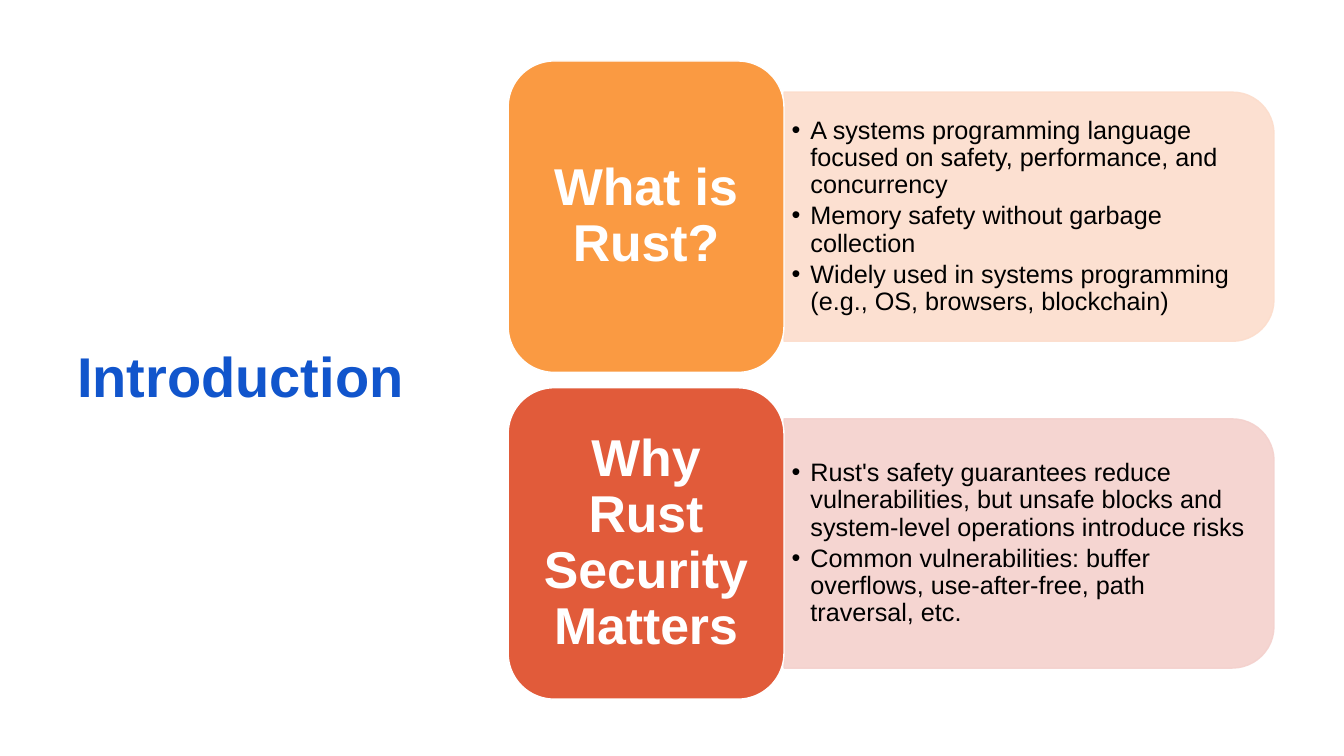
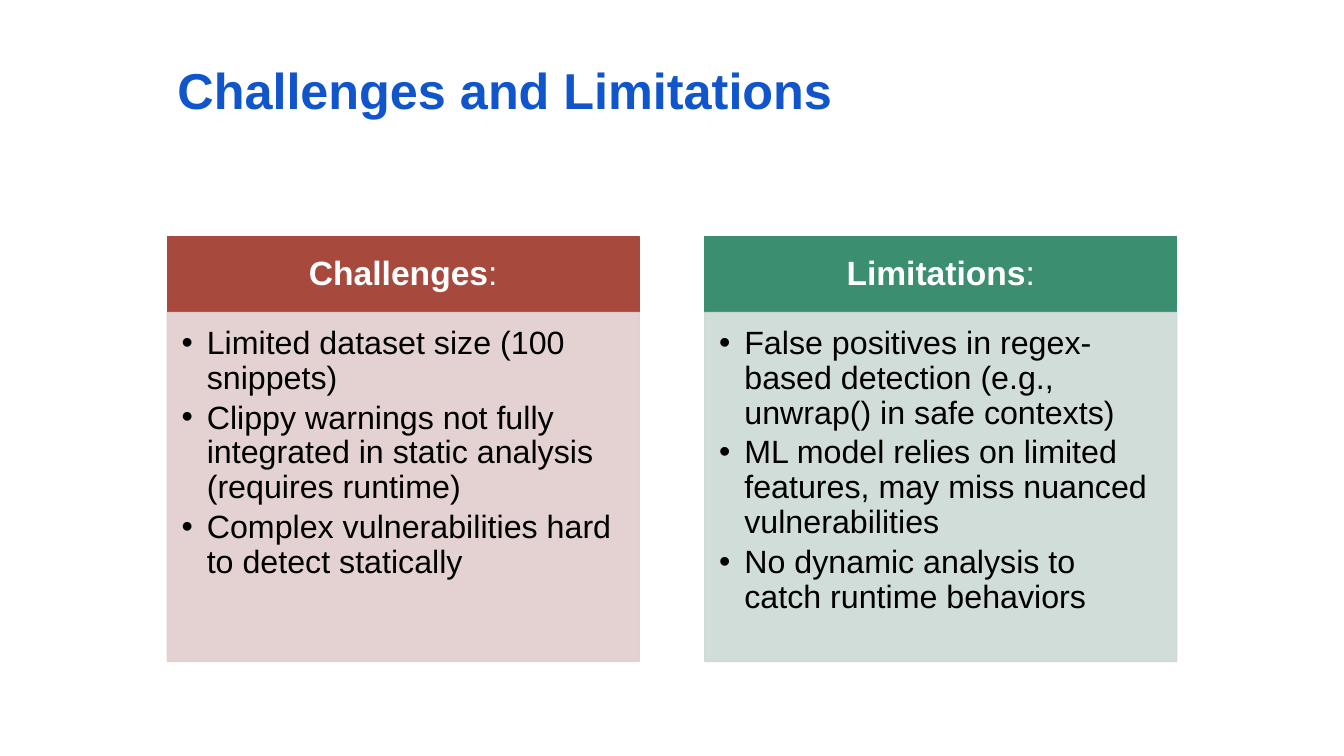
from lxml import etree
from pptx import Presentation
from pptx import util as u
from pptx.dml import color as c
from pptx.enum import shapes, text
from pptx.oxml import ns

Pt = u.Pt
FONT, BLUE, WHITE, BLACK = "Arial", "1155CC", "FFFFFF", "000000"
LEFT, CENTER = text.PP_ALIGN.LEFT, text.PP_ALIGN.CENTER
TOP, MIDDLE = text.MSO_ANCHOR.TOP, text.MSO_ANCHOR.MIDDLE


def paint(shape, fill, line, opacity=100):
    """Give a shape a flat fill and a 1 pt line, without shadow."""
    shape.shadow.inherit = False
    shape.fill.solid()
    shape.line.width = Pt(1)
    for target, value in ((shape.fill.fore_color, fill), (shape.line.color, line)):
        target.rgb = c.RGBColor.from_string(value)
    if opacity < 100:
        for node in shape._element.spPr.iter(ns.qn("a:srgbClr")):
            etree.SubElement(node, ns.qn("a:alpha")).set("val", str(opacity * 1000))


def write(shape, lines, size, color, bold=False, align=LEFT, anchor=MIDDLE,
          insets=(7.2, 3.6, 7.2, 3.6), bullet_indent=0, gap=0):
    """Fill a shape with paragraphs, bulleted when bullet_indent is set."""
    frame = shape.text_frame
    frame.text = "\n".join(lines)
    frame.word_wrap, frame.auto_size = True, text.MSO_AUTO_SIZE.NONE
    frame.vertical_anchor = anchor
    frame.margin_left, frame.margin_top, frame.margin_right, frame.margin_bottom = map(Pt, insets)
    for index, paragraph in enumerate(frame.paragraphs):
        if bullet_indent:
            properties = paragraph._p.get_or_add_pPr()
            properties.set("marL", str(Pt(bullet_indent)))
            properties.set("indent", str(-Pt(bullet_indent)))
            bullet_color = etree.SubElement(properties, ns.qn("a:buClr"))
            etree.SubElement(bullet_color, ns.qn("a:srgbClr")).set("val", color)
            etree.SubElement(properties, ns.qn("a:buFont")).set("typeface", FONT)
            etree.SubElement(properties, ns.qn("a:buChar")).set("char", "•")
        paragraph.alignment = align
        paragraph.line_spacing = 0.9
        paragraph.space_before = Pt(gap if index else 0)
        for run in paragraph.runs:
            run.font.name, run.font.size, run.font.bold = FONT, Pt(size), bold
            run.font.color.rgb = c.RGBColor.from_string(color)


presentation = Presentation()
presentation.slide_width, presentation.slide_height = Pt(960), Pt(540)

# Slides with their titles
titles = [
    ("Introduction", 40, MIDDLE, (48, 43.2, 275, 455.8)),
    ("Challenges and Limitations", 36, TOP, (119.5, 43.2, 721.4, 89.3)),
]
slides = []
for title_text, size, anchor, box in titles:
    slide = presentation.slides.add_slide(presentation.slide_layouts[5])
    title = slide.shapes.title
    title.left, title.top, title.width, title.height = map(Pt, box)
    write(title, [title_text], size, BLUE, bold=True, anchor=anchor)
    slides.append(slide)
introduction, challenges = slides

# Introduction: each rounded card has a tab of bullets to its right
CARD_LEFT, CARD_TOP, CARD_WIDTH, CARD_HEIGHT, CARD_GAP = 363, 43.6, 197, 222.4, 11
TAB_WIDTH, TAB_HEIGHT = 350, 178
TEXT_WIDTH, TEXT_HEIGHT = 341.3, 160.6
cards = [
    ("What is Rust?", "FA9A42", "FCDDCC", [
        "A systems programming language focused on safety, performance, and concurrency",
        "Memory safety without garbage collection",
        "Widely used in systems programming (e.g., OS, browsers, blockchain)",
    ]),
    ("Why Rust Security Matters", "E15B3A", "F4D1CD", [
        "Rust's safety guarantees reduce vulnerabilities, but unsafe blocks and "
        "system-level operations introduce risks",
        "Common vulnerabilities: buffer overflows, use-after-free, path traversal, etc.",
    ]),
]
tab_left = CARD_LEFT + CARD_WIDTH
for index, (heading, card_color, tab_color, bullets) in enumerate(cards):
    top = CARD_TOP + index * (CARD_HEIGHT + CARD_GAP)
    middle = top + CARD_HEIGHT / 2

    # The tab is turned a quarter, so its width and height trade places
    tab = introduction.shapes.add_shape(
        shapes.MSO_SHAPE.ROUND_2_SAME_RECTANGLE,
        Pt(tab_left + (TAB_WIDTH - TAB_HEIGHT) / 2), Pt(middle - TAB_WIDTH / 2),
        Pt(TAB_HEIGHT), Pt(TAB_WIDTH))
    tab.rotation = 90
    tab.adjustments[0], tab.adjustments[1] = 0.167, 0
    paint(tab, tab_color, tab_color, 90)

    tab_text = introduction.shapes.add_textbox(
        Pt(tab_left), Pt(middle - TEXT_HEIGHT / 2), Pt(TEXT_WIDTH), Pt(TEXT_HEIGHT))
    write(tab_text, bullets, 18, BLACK, insets=(5.4, 2.7, 5.4, 2.7), bullet_indent=13.5, gap=2.7)

    card = introduction.shapes.add_shape(
        shapes.MSO_SHAPE.ROUNDED_RECTANGLE,
        Pt(CARD_LEFT), Pt(top), Pt(CARD_WIDTH), Pt(CARD_HEIGHT))
    card.adjustments[0] = 0.167
    paint(card, card_color, WHITE)
    write(card, [heading], 37, WHITE, bold=True, align=CENTER, insets=(10.8, 5.4, 10.8, 5.4))

# Challenges and Limitations: two columns with a header and a body
COLUMN_LEFT, COLUMN_TOP, COLUMN_WIDTH, COLUMN_GAP = 119.5, 169, 337, 47
HEADER_HEIGHT, BODY_HEIGHT = 54.2, 249.2
columns = [
    ("Challenges", "A74A3D", "E1CECD", [
        "Limited dataset size (100 snippets)",
        "Clippy warnings not fully integrated in static analysis (requires runtime)",
        "Complex vulnerabilities hard to detect statically",
    ]),
    ("Limitations", "3B8F70", "CCDAD4", [
        "False positives in regex-based detection (e.g., unwrap() in safe contexts)",
        "ML model relies on limited features, may miss nuanced vulnerabilities",
        "No dynamic analysis to catch runtime behaviors",
    ]),
]
for index, (heading, header_color, body_color, bullets) in enumerate(columns):
    left = COLUMN_LEFT + index * (COLUMN_WIDTH + COLUMN_GAP)
    header, body = [
        challenges.shapes.add_shape(
            shapes.MSO_SHAPE.RECTANGLE, Pt(left), Pt(top), Pt(COLUMN_WIDTH), Pt(height))
        for top, height in ((COLUMN_TOP, HEADER_HEIGHT),
                            (COLUMN_TOP + HEADER_HEIGHT, BODY_HEIGHT))]

    paint(header, header_color, header_color)
    header.text_frame.text = heading
    header.text_frame.paragraphs[0].add_run().text = ":"
    write(header, [heading], 24, WHITE, bold=True, align=CENTER, insets=(13.7, 7.8, 13.7, 7.8))
    colon = header.text_frame.paragraphs[0].add_run()
    colon.text = ":"
    colon.font.name, colon.font.size, colon.font.bold = FONT, Pt(24), False
    colon.font.color.rgb = c.RGBColor.from_string(WHITE)

    paint(body, body_color, body_color, 90)
    write(body, bullets, 23, BLACK, anchor=TOP, insets=(10.2, 10.2, 13.7, 15.3),
          bullet_indent=18, gap=3.6)

presentation.save("out.pptx")
